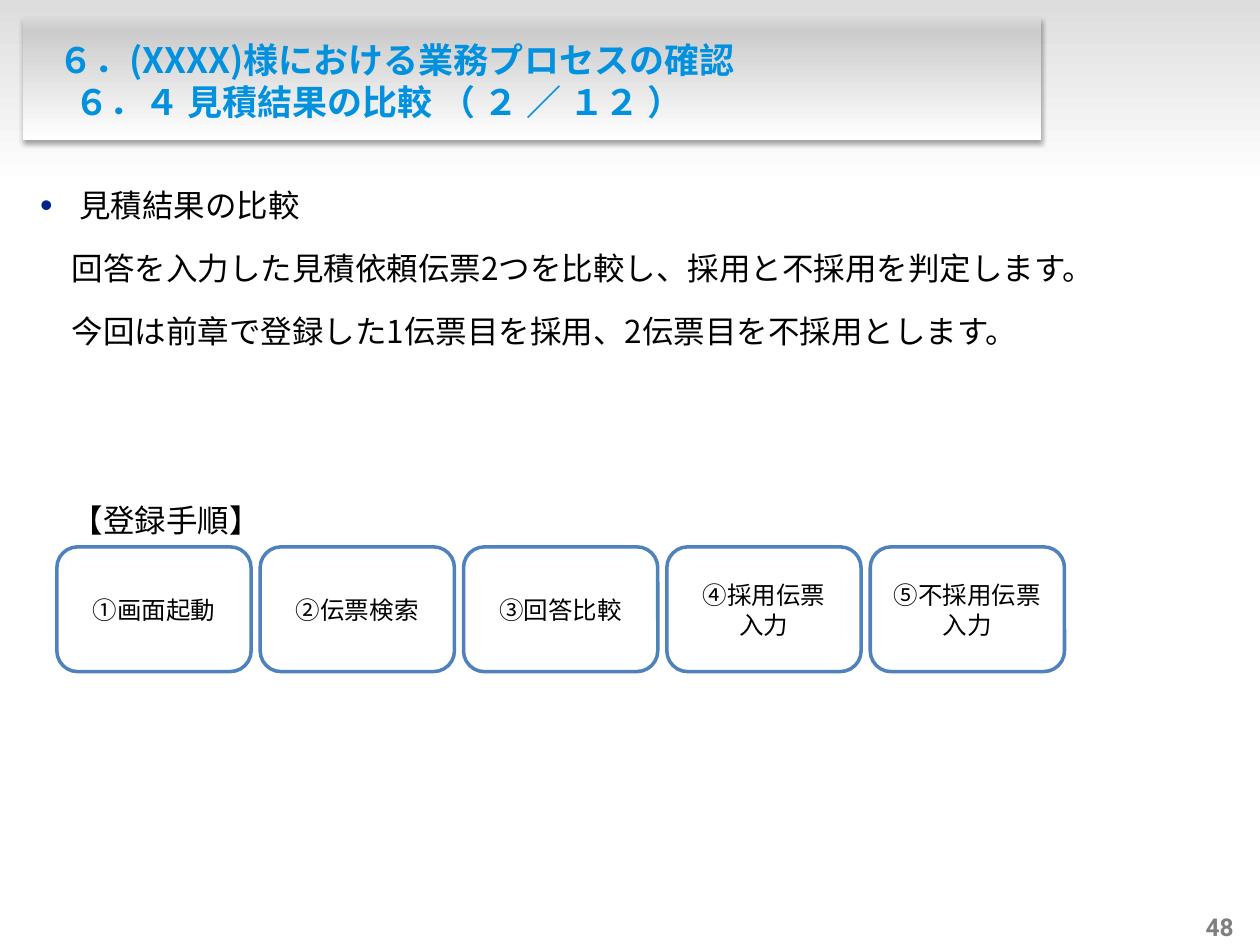
from dataclasses import dataclass

from lxml import etree
from pptx import Presentation
from pptx.dml.color import RGBColor
from pptx.enum import shapes, text
from pptx.oxml import ns
from pptx.util import Pt


@dataclass(frozen=True)
class Theme:
    font: str = "Noto Sans CJK JP"
    number_font: str = "Roboto"
    title: str = "0191DE"
    ink: str = "000000"
    bullet: str = "002289"
    step_line: str = "4F81BD"
    step_fill: str = "FFFFFF"
    number: str = "7F7F7F"
    title_size: int = 20
    body_size: int = 18
    small_size: int = 14
    band_stops: tuple = ((0, "DDDDDD"), (100, "FFFFFF"))
    panel_stops: tuple = ((0, "D9D9D9"), (11, "CCCCCC"), (100, "FFFFFF"))


THEME = Theme()
STEPS = (
    ("①画面起動",),
    ("②伝票検索",),
    ("③回答比較",),
    ("④採用伝票", "入力"),
    ("⑤不採用伝票入力",),
)


def assign(target, values):
    for name, value in values.items():
        setattr(target, name, value)


def add_xml(parent, tag, **attributes):
    child = etree.SubElement(parent, ns.qn(tag))
    for name, value in attributes.items():
        child.set(name, str(value))
    return child


def place(box, left, top, width, height):
    assign(box, {"left": Pt(left), "top": Pt(top),
                 "width": Pt(width), "height": Pt(height)})


def set_frame(box, anchor, margins, wrap=True):
    """Margins run left, top, right, bottom."""
    sides = ("margin_left", "margin_top", "margin_right", "margin_bottom")
    assign(box.text_frame, {
        "auto_size": text.MSO_AUTO_SIZE.NONE,
        "word_wrap": wrap,
        "vertical_anchor": anchor,
        **{side: Pt(margin) for side, margin in zip(sides, margins)},
    })


def write(para, words, size, color, bold=False, font=THEME.font):
    span = para.add_run()
    span.text = words
    assign(span.font, {"name": font, "size": Pt(size), "bold": bold})
    span.font.color.rgb = RGBColor.from_string(color)
    add_xml(span.font._element, "a:ea", typeface=font)


def paragraphs(frame, count):
    return [frame.paragraphs[0]] + [frame.add_paragraph() for _ in range(count - 1)]


def space(para, align, line, before=0):
    assign(para, {"alignment": align, "line_spacing": Pt(line),
                  "space_before": Pt(before), "space_after": Pt(0)})


def indent(para, left, first=0, bullet=None):
    properties = para._p.get_or_add_pPr()
    properties.set("marL", str(Pt(left)))
    properties.set("indent", str(Pt(first)))
    if bullet:
        color = add_xml(properties, "a:buClr")
        add_xml(color, "a:srgbClr", val=THEME.bullet)
        add_xml(properties, "a:buSzPct", val=113000)
        add_xml(properties, "a:buFont", typeface="Arial")
        add_xml(properties, "a:buChar", char=bullet)
    else:
        add_xml(properties, "a:buNone")


def add_gradient_box(page, bounds, stops):
    """Add a borderless rectangle shaded from top to bottom."""
    box = page.shapes.add_shape(shapes.MSO_SHAPE.RECTANGLE, *map(Pt, bounds))
    box.shadow.inherit = False
    box.line.fill.background()
    box.fill.gradient()
    box.fill.gradient_angle = 270
    stop_list = box._element.spPr.find(".//" + ns.qn("a:gsLst"))
    for old in list(stop_list):
        stop_list.remove(old)
    for position, color in stops:
        stop = add_xml(stop_list, "a:gs", pos=position * 1000)
        add_xml(stop, "a:srgbClr", val=color)
    return box


def add_drop_shadow(box):
    effects = box._element.spPr.find(ns.qn("a:effectLst"))
    shadow = add_xml(effects, "a:outerShdw", blurRad=Pt(3.1), dist=Pt(1.8),
                     dir=5400000, algn="ctr", rotWithShape=0)
    color = add_xml(shadow, "a:srgbClr", val=THEME.ink)
    add_xml(color, "a:alpha", val=35000)


def bring_to_front(box):
    box._element.getparent().append(box._element)


def fill_title(title):
    place(title, 20, 19, 566, 54)
    set_frame(title, text.MSO_ANCHOR.MIDDLE, (0, 3.6, 3.6, 3.6))
    lines = (("６．(XXXX)様における業務プロセスの確認", 13.7),
             ("６．４ 見積結果の比較 （ ２ ／ １２ ）", 22.5))
    for para, (words, left) in zip(paragraphs(title.text_frame, len(lines)), lines):
        indent(para, left)
        space(para, text.PP_ALIGN.LEFT, 24)
        write(para, words, THEME.title_size, THEME.title, bold=True)


def fill_body(body):
    place(body, 15.8, 88.5, 695, 415)
    set_frame(body, text.MSO_ANCHOR.TOP, (7.2, 3.6, 7.2, 3.6))
    lines = (
        ("見積結果の比較", (22.3, -22.3, "•"), 0),
        ("回答を入力した見積依頼伝票2つを比較し、採用と不採用を判定します。", (18,), 0),
        ("今回は前章で登録した1伝票目を採用、2伝票目を不採用とします。", (18,), 0),
        ("【登録手順】", (18,), 72),
    )
    for para, (words, margins, before) in zip(
            paragraphs(body.text_frame, len(lines)), lines):
        indent(para, *margins)
        space(para, text.PP_ALIGN.LEFT, 36, before)
        write(para, words, THEME.body_size, THEME.ink)


def add_step(page, left, lines):
    box = page.shapes.add_shape(shapes.MSO_SHAPE.ROUNDED_RECTANGLE,
                                Pt(left), Pt(312.5), Pt(111), Pt(71.3))
    box.shadow.inherit = False
    box.fill.solid()
    box.fill.fore_color.rgb = RGBColor.from_string(THEME.step_fill)
    box.line.color.rgb = RGBColor.from_string(THEME.step_line)
    box.line.width = Pt(2)
    set_frame(box, text.MSO_ANCHOR.MIDDLE, (7.2, 3.6, 7.2, 3.6))
    for para, words in zip(paragraphs(box.text_frame, len(lines)), lines):
        space(para, text.PP_ALIGN.CENTER, 17)
        write(para, words, THEME.small_size, THEME.ink)


def add_page_number(page, number):
    box = page.shapes.add_textbox(Pt(681), Pt(520.5), Pt(24), Pt(17.3))
    set_frame(box, text.MSO_ANCHOR.BOTTOM, (0, 0, 0, 0), wrap=False)
    para = box.text_frame.paragraphs[0]
    para.alignment = text.PP_ALIGN.RIGHT
    write(para, number, THEME.small_size, THEME.number, True, THEME.number_font)


def main():
    deck = Presentation()
    assign(deck, {"slide_width": Pt(720), "slide_height": Pt(540)})
    page = deck.slides.add_slide(deck.slide_layouts[1])
    title, body = page.shapes.title, page.placeholders[1]

    add_gradient_box(page, (0, 0, 720, 106), THEME.band_stops)
    add_drop_shadow(add_gradient_box(page, (13, 10, 582, 70), THEME.panel_stops))
    add_page_number(page, "48")

    fill_body(body)
    fill_title(title)
    bring_to_front(body)
    bring_to_front(title)
    for index, lines in enumerate(STEPS):
        add_step(page, 32.5 + index * 116.2, lines)

    deck.save("out.pptx")


if __name__ == "__main__":
    main()
